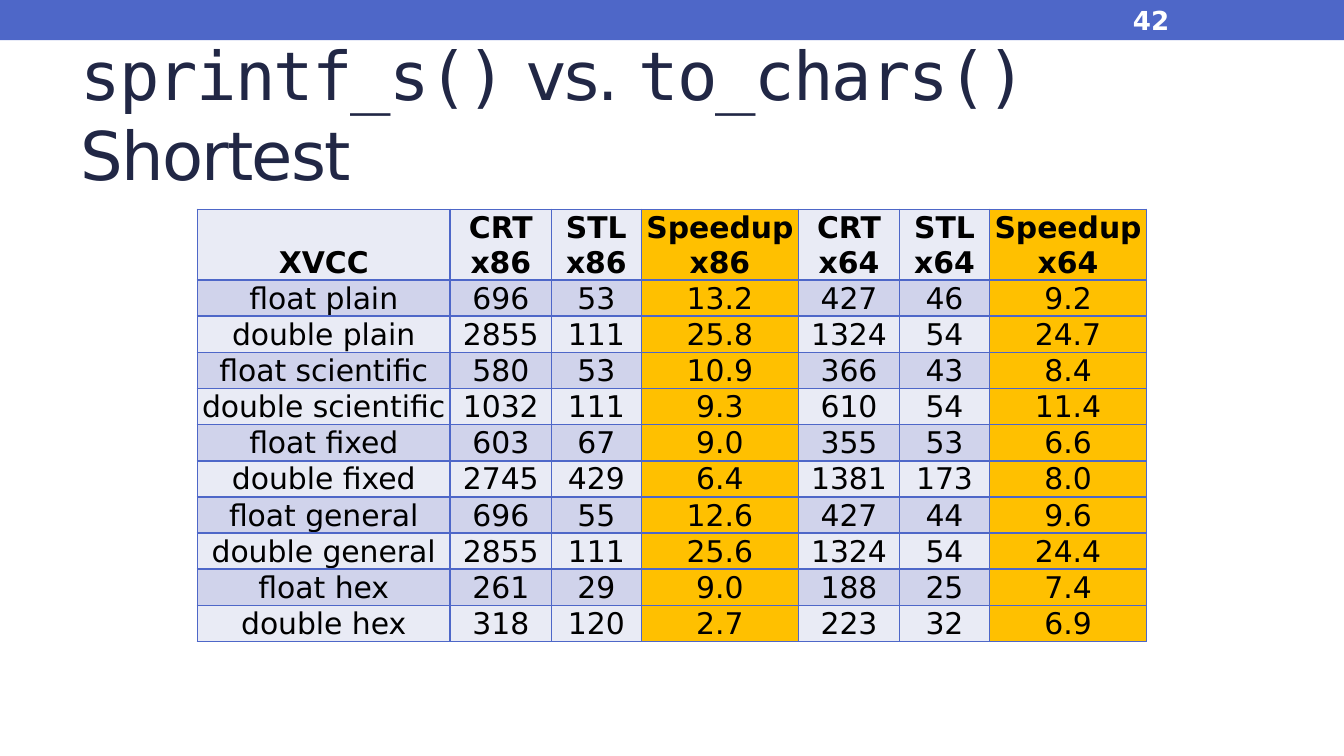
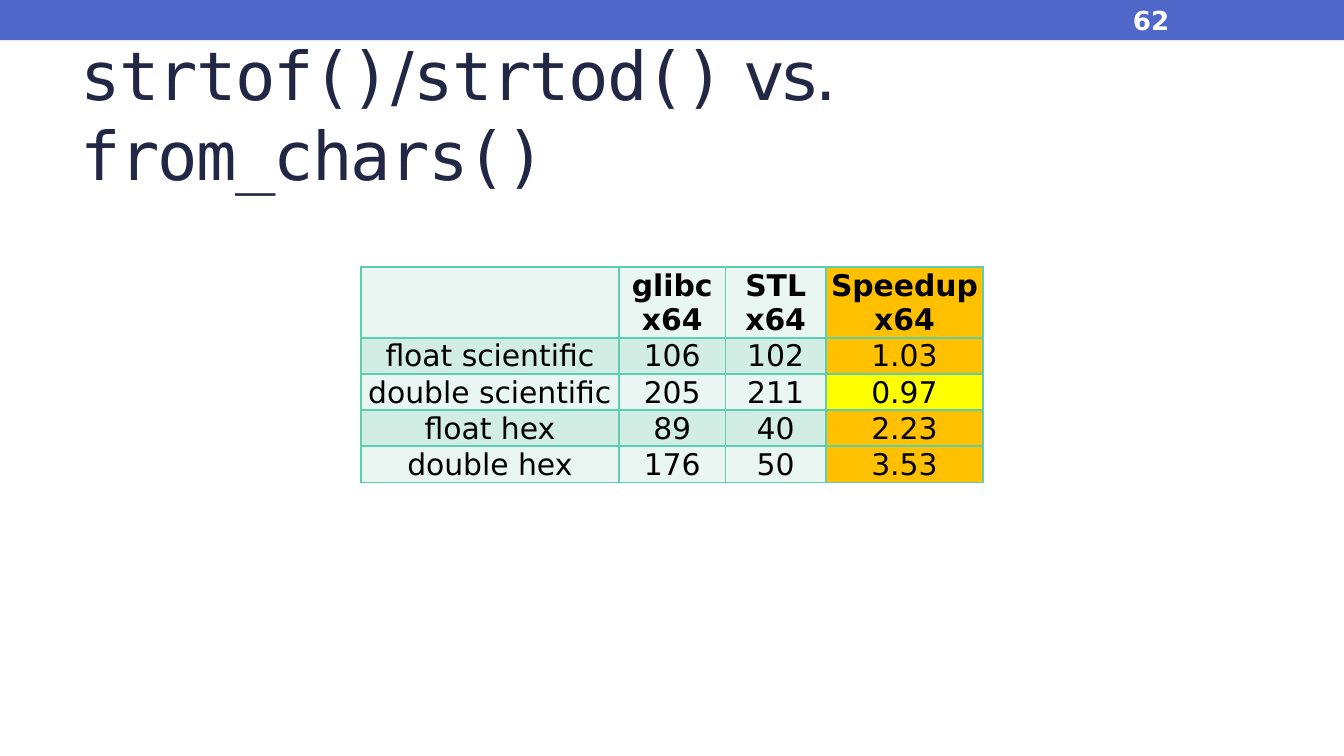
from lxml.etree import SubElement
from pptx import Presentation
from pptx.dml.color import RGBColor
from pptx.enum.shapes import MSO_SHAPE
from pptx.enum.text import MSO_ANCHOR, MSO_AUTO_SIZE, PP_ALIGN
from pptx.oxml.ns import qn
from pptx.util import Cm, Pt

SANS, MONO = "DejaVu Sans", "DejaVu Sans Mono"
BLUE = RGBColor(0x4E, 0x67, 0xC8)
GREEN = RGBColor(0x5D, 0xCE, 0xAF)
NAVY = RGBColor(0x21, 0x27, 0x45)
AMBER = RGBColor(0xFF, 0xC0, 0x00)
YELLOW = RGBColor(0xFF, 0xFF, 0x00)
WHITE = RGBColor(0xFF, 0xFF, 0xFF)
BLACK = RGBColor(0x00, 0x00, 0x00)
BLUE_BANDS = RGBColor(0xE9, 0xEB, 0xF5), RGBColor(0xD0, 0xD3, 0xEB)
GREEN_BANDS = RGBColor(0xEA, 0xF6, 0xF2), RGBColor(0xD2, 0xED, 0xE3)

SLIDE_W, SLIDE_H = 25.4, 14.29
ROW_H, LINE_H = 0.53, 0.7

BENCHMARKS = [
    {
        "number": "42",
        "title": [("sprintf_s()", MONO), (" vs. ", SANS), ("to_chars()", MONO), (" Shortest", SANS)],
        "top": 3.96,
        "widths": [4.78, 1.91, 1.7, 2.97, 1.91, 1.7, 2.97],
        "border": BLUE,
        "bands": BLUE_BANDS,
        "timings": [
            ("XVCC", "CRT x86", "STL x86", "Speedup x86", "CRT x64", "STL x64", "Speedup x64"),
            ("float plain", "696", "53", "13.2", "427", "46", "9.2"),
            ("double plain", "2855", "111", "25.8", "1324", "54", "24.7"),
            ("float scientific", "580", "53", "10.9", "366", "43", "8.4"),
            ("double scientific", "1032", "111", "9.3", "610", "54", "11.4"),
            ("float fixed", "603", "67", "9.0", "355", "53", "6.6"),
            ("double fixed", "2745", "429", "6.4", "1381", "173", "8.0"),
            ("float general", "696", "55", "12.6", "427", "44", "9.6"),
            ("double general", "2855", "111", "25.6", "1324", "54", "24.4"),
            ("float hex", "261", "29", "9.0", "188", "25", "7.4"),
            ("double hex", "318", "120", "2.7", "223", "32", "6.9"),
        ],
    },
    {
        "number": "62",
        "title": [("strtof()", MONO), ("/", SANS), ("strtod()", MONO), (" vs. ", SANS), ("from_chars()", MONO)],
        "top": 5.05,
        "widths": [4.88, 2.01, 1.9, 2.97],
        "border": GREEN,
        "bands": GREEN_BANDS,
        "timings": [
            ("", "glibc x64", "STL x64", "Speedup x64"),
            ("float scientific", "106", "102", "1.03"),
            ("double scientific", "205", "211", "0.97"),
            ("float hex", "89", "40", "2.23"),
            ("double hex", "176", "50", "3.53"),
        ],
    },
]


def style(font, size, color, bold=False, face=SANS):
    font.name, font.size, font.bold = face, Pt(size), bold
    font.color.rgb = color


def add_band(slide):
    band = slide.shapes.add_shape(MSO_SHAPE.RECTANGLE, 0, 0, Cm(SLIDE_W), Cm(0.76))
    band.shadow.inherit = False
    band.fill.solid()
    band.fill.fore_color.rgb = BLUE
    band.line.fill.background()
    slide.slide_layout.shapes.element.insert(2, band.element)


def add_title(slide, parts):
    title = slide.shapes.title
    title.left, title.top, title.width, title.height = Cm(1.27), Cm(1.12), Cm(22.86), Cm(2.06)
    frame = title.text_frame
    frame.auto_size, frame.word_wrap = MSO_AUTO_SIZE.NONE, True
    frame.vertical_anchor = MSO_ANCHOR.MIDDLE
    heading = frame.paragraphs[0]
    heading.alignment = PP_ALIGN.LEFT
    for words, face in parts:
        run = heading.add_run()
        run.text = words
        style(run.font, 36, NAVY, face=face)
        run._r.get_or_add_rPr().set("spc", "-100")


def add_number(slide, number):
    box = slide.shapes.add_textbox(Cm(21.16), Cm(0.03), Cm(2.97), Cm(0.69))
    frame = box.text_frame
    frame.word_wrap = True
    frame.vertical_anchor = MSO_ANCHOR.MIDDLE
    frame.text = number
    style(frame.paragraphs[0].runs[0].font, 14, WHITE, bold=True)


def add_borders(cell, color):
    properties = cell._tc.get_or_add_tcPr()
    for side in ("a:lnL", "a:lnR", "a:lnT", "a:lnB"):
        line = SubElement(properties, qn(side), w=str(Pt(1)))
        fill = SubElement(line, qn("a:solidFill"))
        SubElement(fill, qn("a:srgbClr"), val=str(color))


def cell_fill(heading, value, band):
    if not heading.startswith("Speedup"):
        return band
    return YELLOW if value != heading and float(value) < 1 else AMBER


def add_timings(slide, benchmark):
    timings, widths = benchmark["timings"], benchmark["widths"]
    height = Cm(LINE_H * (len(timings) + 1))
    holder = slide.shapes.add_table(
        len(timings), len(widths), Cm((SLIDE_W - sum(widths)) / 2),
        Cm(benchmark["top"]), Cm(sum(widths)), height)
    table = holder.table
    table.first_row = table.horz_banding = False
    for column, width in zip(table.columns, widths):
        column.width = Cm(width)
    for r, values in enumerate(timings):
        table.rows[r].height = Cm(ROW_H)
        for c, value in enumerate(values):
            cell = table.cell(r, c)
            cell.margin_left = cell.margin_right = cell.margin_top = Cm(0.03)
            cell.margin_bottom = 0
            cell.vertical_anchor = MSO_ANCHOR.BOTTOM
            add_borders(cell, benchmark["border"])
            cell.fill.solid()
            cell.fill.fore_color.rgb = cell_fill(timings[0][c], value, benchmark["bands"][r % 2])
            cell.text = value
            entry = cell.text_frame.paragraphs[0]
            entry.alignment = PP_ALIGN.CENTER
            style(entry.font, 16, BLACK, bold=r == 0)
            for run in entry.runs:
                style(run.font, 16, BLACK, bold=r == 0)
    holder.height = height


def main():
    """Build the benchmark slides comparing number conversion speeds."""
    deck = Presentation()
    deck.slide_width, deck.slide_height = Cm(SLIDE_W), Cm(SLIDE_H)
    title_only = deck.slide_layouts[5]
    for index, benchmark in enumerate(BENCHMARKS):
        slide = deck.slides.add_slide(title_only)
        if index == 0:
            add_band(slide)
        add_title(slide, benchmark["title"])
        add_timings(slide, benchmark)
        add_number(slide, benchmark["number"])
    deck.save("out.pptx")


if __name__ == "__main__":
    main()
